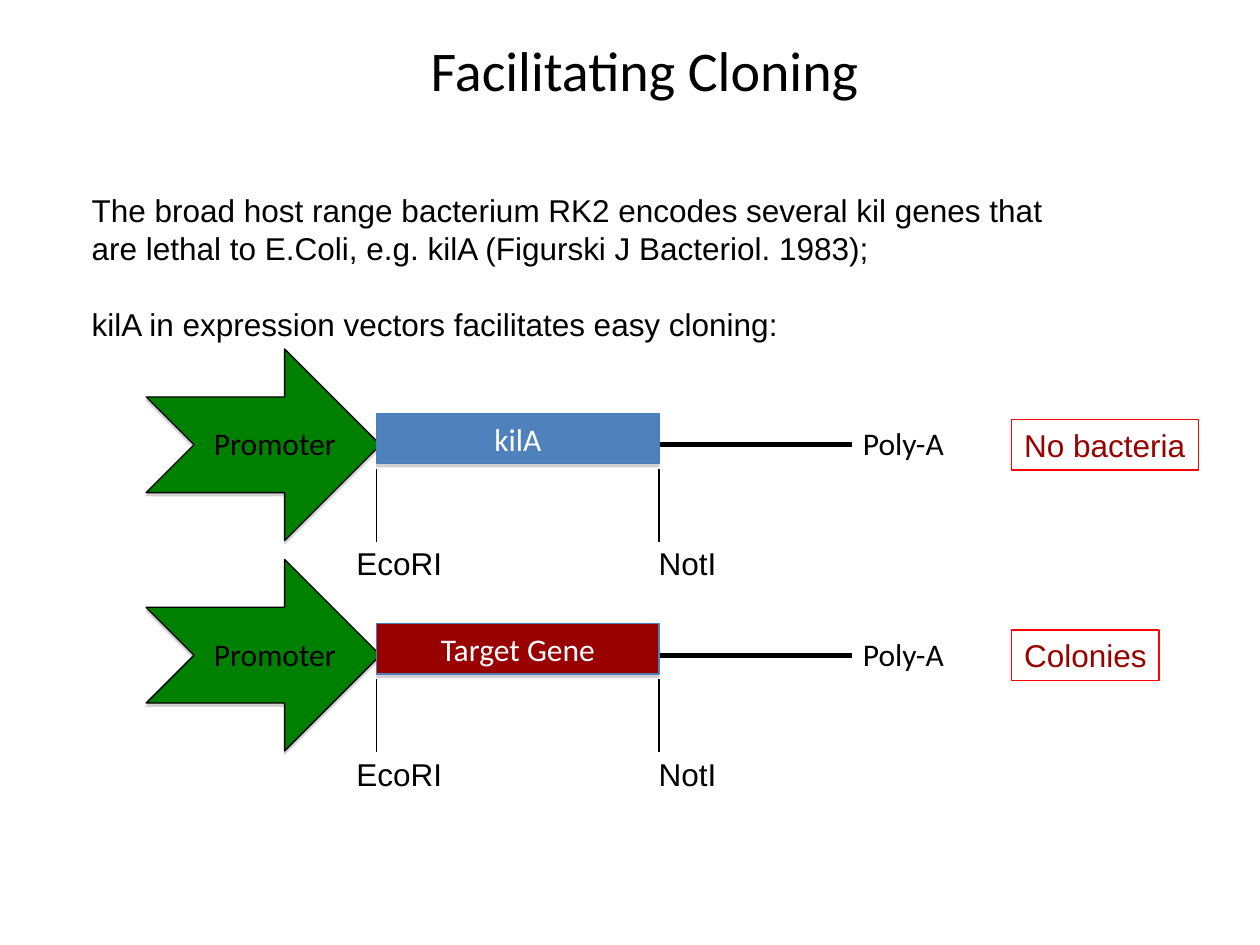
from dataclasses import dataclass

from lxml import etree
from pptx import Presentation
from pptx.dml.color import RGBColor
from pptx.enum.shapes import MSO_CONNECTOR, MSO_SHAPE
from pptx.enum.text import MSO_ANCHOR, PP_ALIGN
from pptx.oxml import parse_xml
from pptx.oxml.ns import nsdecls, qn
from pptx.util import Inches, Pt

RECT = MSO_SHAPE.RECTANGLE
STRAIGHT = MSO_CONNECTOR.STRAIGHT
LEFT, CENTER = PP_ALIGN.LEFT, PP_ALIGN.CENTER
TOP, MIDDLE = MSO_ANCHOR.TOP, MSO_ANCHOR.MIDDLE


@dataclass(frozen=True)
class Theme:
    black: str = "000000"
    white: str = "FFFFFF"
    promoter: str = "008000"
    kil_gene: str = "4F81BD"
    gene_line: str = "4A7EBB"
    dark_red: str = "990000"
    result_line: str = "FF0000"
    shadow: str = "808080"
    heading_font: str = "Calibri"
    body_font: str = "Arial"
    title_size: int = 32
    text_size: int = 18
    thin: float = 0.75
    thick: float = 3


T = Theme()
GENE_LEFT, GENE_WIDTH = 2.99, 2.24
CONSTRUCT_TOP, CONSTRUCT_PITCH = 2.77, 1.67
ARROW_LEFT, ARROW_WIDTH, ARROW_HEIGHT = 1.16, 1.86, 1.52
CONSTRUCTS = [
    ("kilA", T.kil_gene, "No bacteria", 1.48),
    ("Target Gene", T.dark_red, "Colonies", 1.17),
]


def set_attrs(obj, values):
    for name, value in values.items():
        setattr(obj, name, value)


def write(s, paragraphs, color=T.black, font=T.body_font, size=T.text_size,
          wrap=False, align=LEFT, anchor=TOP, gap=0):
    tf = s.text_frame
    set_attrs(tf, {"word_wrap": wrap, "vertical_anchor": anchor})
    for i, text in enumerate(paragraphs):
        p = tf.add_paragraph() if i else tf.paragraphs[0]
        set_attrs(p, {"alignment": align, "space_before": Pt(gap if i else 0)})
        r = p.add_run()
        r.text = text
        set_attrs(r.font, {"name": font, "size": Pt(size)})
        r.font.color.rgb = RGBColor.from_string(color)


def add_text(sp, box, *paragraphs, **style):
    s = sp.add_textbox(*map(Inches, box))
    write(s, paragraphs, **style)


def paint(s, line, fill=None):
    s.shadow.inherit = False
    if fill:
        s.fill.solid()
        s.fill.fore_color.rgb = RGBColor.from_string(fill)
    else:
        s.fill.background()
    s.line.color.rgb = RGBColor.from_string(line)
    s.line.width = Pt(T.thin)


def drop_shadow(s):
    effects = s._element.spPr.find(qn("a:effectLst"))
    effects.append(parse_xml(
        f'<a:outerShdw {nsdecls("a")} blurRad="0" dist="{Pt(1.8)}" dir="5400000" '
        f'rotWithShape="0"><a:srgbClr val="{T.shadow}"><a:alpha val="35000"/>'
        '</a:srgbClr></a:outerShdw>'))


def add_box(sp, box, text, line, fill=None, shadow=False, **style):
    s = sp.add_shape(RECT, *map(Inches, box))
    paint(s, line, fill)
    if shadow:
        drop_shadow(s)
    write(s, [text], **style)


def add_line(sp, start, end, width):
    s = sp.add_connector(STRAIGHT, *map(Inches, (*start, *end)))
    s.line.color.rgb = RGBColor.from_string(T.black)
    s.line.width = Pt(width)
    etree.SubElement(s._element.spPr, qn("a:effectLst"))


def add_promoter_arrow(sp, top):
    half, quarter = ARROW_HEIGHT / 2, ARROW_HEIGHT / 4
    tip = ARROW_LEFT + ARROW_WIDTH
    neck, middle = tip - half, top + half
    points = [
        (ARROW_LEFT, middle - quarter), (neck, middle - quarter), (neck, top),
        (tip, middle), (neck, top + ARROW_HEIGHT), (neck, middle + quarter),
        (ARROW_LEFT, middle + quarter), (ARROW_LEFT + quarter, middle),
    ]
    outline = [(Inches(x), Inches(y)) for x, y in points]
    builder = sp.build_freeform(*outline[0], scale=1.0)
    builder.add_line_segments(outline[1:], close=True)
    s = builder.convert_to_shape()
    paint(s, T.black, T.promoter)
    drop_shadow(s)


def add_construct(sp, top, gene, fill, result, result_width):
    axis = top + ARROW_HEIGHT / 2
    add_promoter_arrow(sp, top)
    add_line(sp, (ARROW_LEFT + ARROW_WIDTH, axis), (6.76, axis), T.thick)
    add_text(sp, (6.75, top + 0.55, 0.85, 0.4), "Poly-A", font=T.heading_font)
    add_text(sp, (1.6, top + 0.55, 6.8, 0.4), "Promoter",
             font=T.heading_font, wrap=True)
    add_box(sp, (GENE_LEFT, top + 0.51, GENE_WIDTH, 0.4), gene, T.gene_line, fill,
            shadow=True, color=T.white, font=T.heading_font, wrap=True,
            align=CENTER, anchor=MIDDLE)
    for x in (GENE_LEFT, GENE_LEFT + GENE_WIDTH):
        add_line(sp, (x, top + 0.95), (x, top + 1.53), T.thin)
    for site, x, width in (("EcoRI", 2.73, 0.88), ("NotI", 5.13, 0.66)):
        add_text(sp, (x, top + 1.5, width, 0.4), site)
    add_box(sp, (8.03, top + 0.56, result_width, 0.4), result, T.result_line,
            color=T.dark_red)


def main():
    prs = Presentation()
    set_attrs(prs, {"slide_width": Inches(10), "slide_height": Inches(7.5)})
    sp = prs.slides.add_slide(prs.slide_layouts[6]).shapes
    add_text(sp, (3.32, 0.23, 3.62, 0.64), "Facilitating Cloning",
             font=T.heading_font, size=T.title_size)
    add_text(sp, (0.63, 1.47, 8.03, 1.9),
             "The broad host range bacterium RK2 encodes several kil genes that "
             "are lethal to E.Coli, e.g. kilA (Figurski J Bacteriol. 1983);",
             "kilA in expression vectors facilitates easy cloning:",
             wrap=True, gap=21.6)
    for i, construct in enumerate(CONSTRUCTS):
        add_construct(sp, CONSTRUCT_TOP + i * CONSTRUCT_PITCH, *construct)
    prs.save("out.pptx")


if __name__ == "__main__":
    main()
